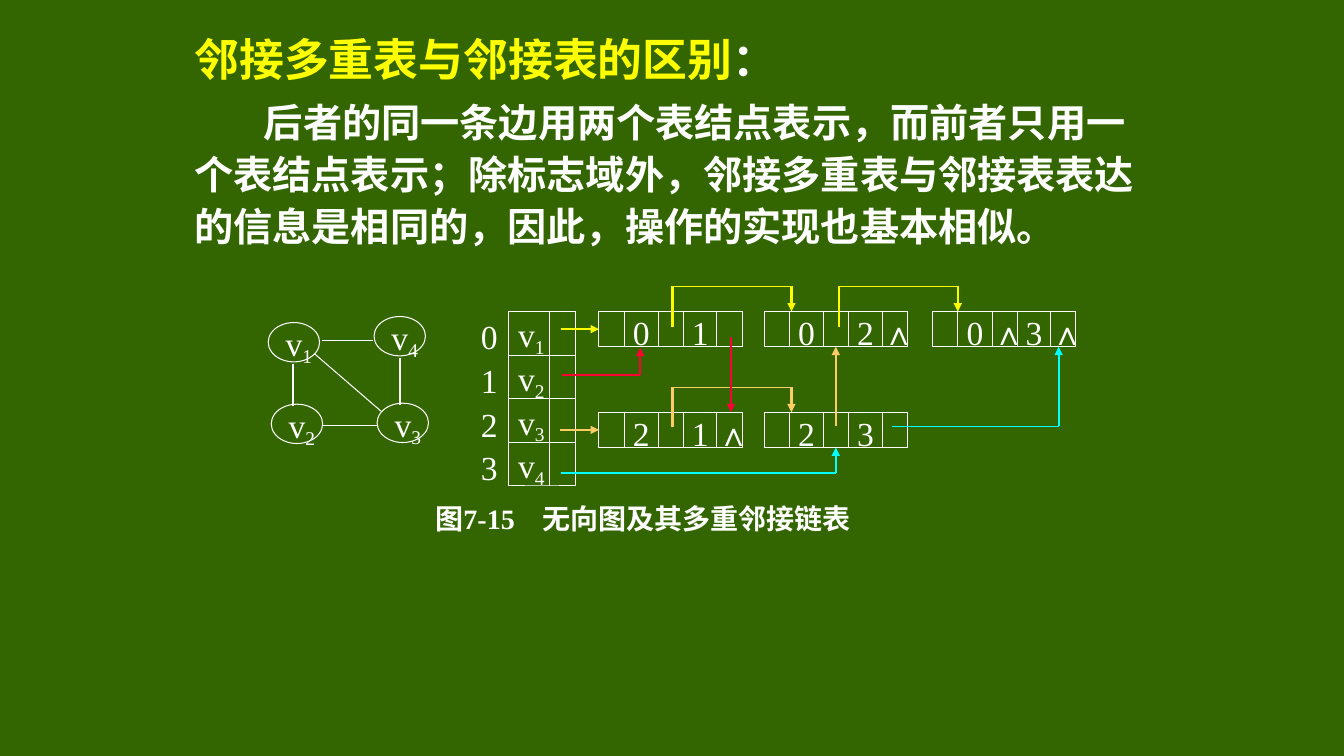
from lxml import etree
from pptx import Presentation
from pptx.dml.color import RGBColor
from pptx.enum.shapes import MSO_CONNECTOR, MSO_SHAPE
from pptx.enum.text import MSO_ANCHOR, PP_ALIGN
from pptx.oxml.ns import qn
from pptx.util import Inches, Pt

STRAIGHT = MSO_CONNECTOR.STRAIGHT
OVAL, RECT = MSO_SHAPE.OVAL, MSO_SHAPE.RECTANGLE
TOP, MIDDLE = MSO_ANCHOR.TOP, MSO_ANCHOR.MIDDLE
LEFT, CENTER = PP_ALIGN.LEFT, PP_ALIGN.CENTER
LEFT_SIDE, BOTTOM_SIDE = 1, 2

THEME = {
    "ground": "336600", "white": "FFFFFF", "yellow": "FFFF00",
    "orange": "FFCC66", "red": "FF0033", "cyan": "00FFFF",
    "latin": "Times New Roman", "cjk": "Noto Sans CJK SC",
    "heading": 32, "body": 28, "label": 24, "caption": 20,
    "thin": 0.75, "thick": 1.5,
}
THIN, THICK = THEME["thin"], THEME["thick"]

# Content
HEADING = "邻接多重表与邻接表的区别"
EXPLANATION = ("后者的同一条边用两个表结点表示，而前者只用一个表结点表示；"
               "除标志域外，邻接多重表与邻接表表达的信息是相同的，因此，操作的实现也基本相似。")
CAPTION = "图7-15\t无向图及其多重邻接链表"

VERTICES = {"1": (2.66, 3.2), "2": (2.69, 4.01), "3": (3.74, 4), "4": (3.71, 3.14)}
GRAPH_EDGES = [
    ((2.91, 3.61), (2.91, 4.03), THICK),
    ((3.97, 3.55), (3.97, 4.02), THICK),
    ((3.12, 3.51), (3.78, 4.08), THIN),
    ((3.19, 3.38), (3.7, 3.38), THIN),
    ((3.2, 4.22), (3.75, 4.22), THIN),
]

UPPER, LOWER = 3.09, 4.09
NODE_W, NODE_H = 1.42, 0.35
FIELD_EDGES = [0, 0.25, 0.59, 0.84, 1.17, NODE_W]
EDGE_NODES = {  # left, top, the five fields
    "0-1": (5.94, UPPER, ["", "0", "", "1", ""]),
    "0-2": (7.58, UPPER, ["", "0", "", "2", "∧"]),
    "0-3": (9.25, UPPER, ["", "0", "∧", "3", "∧"]),
    "2-1": (5.94, LOWER, ["", "2", "", "1", "∧"]),
    "2-3": (7.58, LOWER, ["", "2", "", "3", ""]),
}
UPPER_MID, LOWER_MID = UPPER + NODE_H / 2, LOWER + NODE_H / 2
NODE_BOTTOM = UPPER + NODE_H
MIDDLE_X = 7.58 + NODE_W / 2


def hop(start, row):
    """Path from a link field over the row to the next node."""
    return [(start, row + 0.15), (start, row - 0.25),
            (start + 1.18, row - 0.25), (start + 1.18, row)]


# Colour, path, width of each stretch, joined node and side
POINTERS = [
    ("yellow", [(5.56, UPPER_MID), (5.94, UPPER_MID)], [THICK], ("0-1", LEFT_SIDE)),
    ("yellow", hop(6.67, UPPER), [THICK, THIN, THICK], None),
    ("yellow", hop(8.32, UPPER), [THICK, THIN, THICK], None),
    ("orange", [(5.55, LOWER_MID), (5.94, LOWER_MID)], [THICK], ("2-1", LEFT_SIDE)),
    ("orange", hop(6.67, LOWER), [THICK, THIN, THICK], None),
    ("orange", [(MIDDLE_X, 4.23), (MIDDLE_X, NODE_BOTTOM)], [THICK], ("0-2", BOTTOM_SIDE)),
    ("red", [(5.57, 3.72), (6.35, 3.72), (6.35, 3.45)], [THICK, THICK], None),
    ("red", [(7.25, 3.34), (7.25, LOWER)], [THICK], None),
    ("cyan", [(5.56, 4.69), (MIDDLE_X, 4.69), (MIDDLE_X, LOWER + NODE_H)],
     [THICK, THICK], ("2-3", BOTTOM_SIDE)),
    ("cyan", [(8.85, 4.23), (10.5, 4.23), (10.5, NODE_BOTTOM)], [THIN, THICK], None),
]

prs = Presentation()
prs.slide_width, prs.slide_height = Inches(13.33), Inches(7.5)
slide = prs.slides.add_slide(prs.slide_layouts[6])
slide.background.fill.solid()
slide.background.fill.fore_color.rgb = RGBColor.from_string(THEME["ground"])


def write(paragraph, text, size="label", color="white", bold=False, cjk=False, sub=False):
    run = paragraph.add_run()
    run.text = text
    font = run.font
    font.size, font.bold, font.name = Pt(THEME[size]), bold, THEME["latin"]
    font.color.rgb = RGBColor.from_string(THEME[color])
    props = run._r.get_or_add_rPr()
    if cjk:
        etree.SubElement(props, qn("a:ea"), typeface=THEME["cjk"])
    if sub:
        props.set("baseline", "-20000")


def prepare(shape, anchor=MIDDLE, align=LEFT, wrap=False, side=0.1, drop=0.03):
    """Set up a text frame and return its first paragraph."""
    frame = shape.text_frame
    frame.word_wrap, frame.vertical_anchor = wrap, anchor
    frame.margin_left = frame.margin_right = Inches(side)
    frame.margin_top, frame.margin_bottom = Inches(0.05 + drop), Inches(0.05 - drop)
    frame.paragraphs[0].alignment = align
    return frame.paragraphs[0]


def text_box(x, y, w, h):
    return slide.shapes.add_textbox(Inches(x), Inches(y), Inches(w), Inches(h))


def outlined(kind, x, y, w, h):
    shape = slide.shapes.add_shape(kind, Inches(x), Inches(y), Inches(w), Inches(h))
    shape.shadow.inherit = False
    shape.fill.background()
    shape.line.color.rgb = RGBColor.from_string(THEME["white"])
    shape.line.width = Pt(THIN)
    return shape


def line(start, end, width=THIN, color="white", arrow=False):
    connector = slide.shapes.add_connector(STRAIGHT, *map(Inches, start + end))
    connector.line.color.rgb = RGBColor.from_string(THEME[color])
    connector.line.width = Pt(width)
    props = connector._element.spPr
    if arrow:
        etree.SubElement(props.find(qn("a:ln")), qn("a:tailEnd"), type="triangle")
    etree.SubElement(props, qn("a:effectLst"))
    return connector


def vertex_label(shape, number):
    paragraph = prepare(shape)
    write(paragraph, "v")
    write(paragraph, number, sub=True)


# Heading and explanation
body = text_box(1.83, 0.17, 9.64, 2.4)
heading = prepare(body, anchor=TOP, wrap=True, drop=0)
heading.line_spacing = Pt(45)
write(heading, HEADING, size="heading", color="yellow", bold=True, cjk=True)
write(heading, "：", size="heading", bold=True, cjk=True)
explanation = body.text_frame.add_paragraph()
explanation.line_spacing, explanation.space_before = Pt(37.2), Pt(5.6)
explanation._p.get_or_add_pPr().set("indent", str(Inches(0.69)))
write(explanation, EXPLANATION, size="body", bold=True, cjk=True)

# Caption
caption = prepare(text_box(4.22, 4.97, 4.4, 0.35), wrap=True, drop=0)
tabs = etree.SubElement(caption._p.get_or_add_pPr(), qn("a:tabLst"))
etree.SubElement(tabs, qn("a:tab"), pos=str(Inches(1.06)), algn="l")
write(caption, CAPTION, size="caption", bold=True, cjk=True)

# Undirected graph
for number, (x, y) in VERTICES.items():
    vertex_label(outlined(OVAL, x, y, 0.51, 0.39), number)
for start, end, width in GRAPH_EDGES:
    line(start, end, width)

# Vertex table
ROW_H = 0.433
for row in range(4):
    y = UPPER + row * ROW_H
    vertex_label(outlined(RECT, 5.04, y, 0.67, ROW_H), str(row + 1))
    line((5.45, y), (5.45, y + ROW_H))
    write(prepare(text_box(4.67, y, 0.31, ROW_H)), str(row))

# Edge nodes
node_shapes = {}
for edge, (x, y, fields) in EDGE_NODES.items():
    node_shapes[edge] = outlined(RECT, x, y, NODE_W, NODE_H)
    for divider in FIELD_EDGES[1:-1]:
        line((x + divider, y), (x + divider, y + NODE_H))
    for value, left, right in zip(fields, FIELD_EDGES, FIELD_EDGES[1:]):
        if value:
            field = text_box(x + left, y, right - left, NODE_H)
            write(prepare(field, align=CENTER, side=0), value)

# Pointers
for color, path, widths, joint in POINTERS:
    for i, width in enumerate(widths):
        last = i == len(widths) - 1
        pointer = line(path[i], path[i + 1], width, color, arrow=last)
        if last and joint:
            pointer.end_connect(node_shapes[joint[0]], joint[1])

prs.save("out.pptx")
